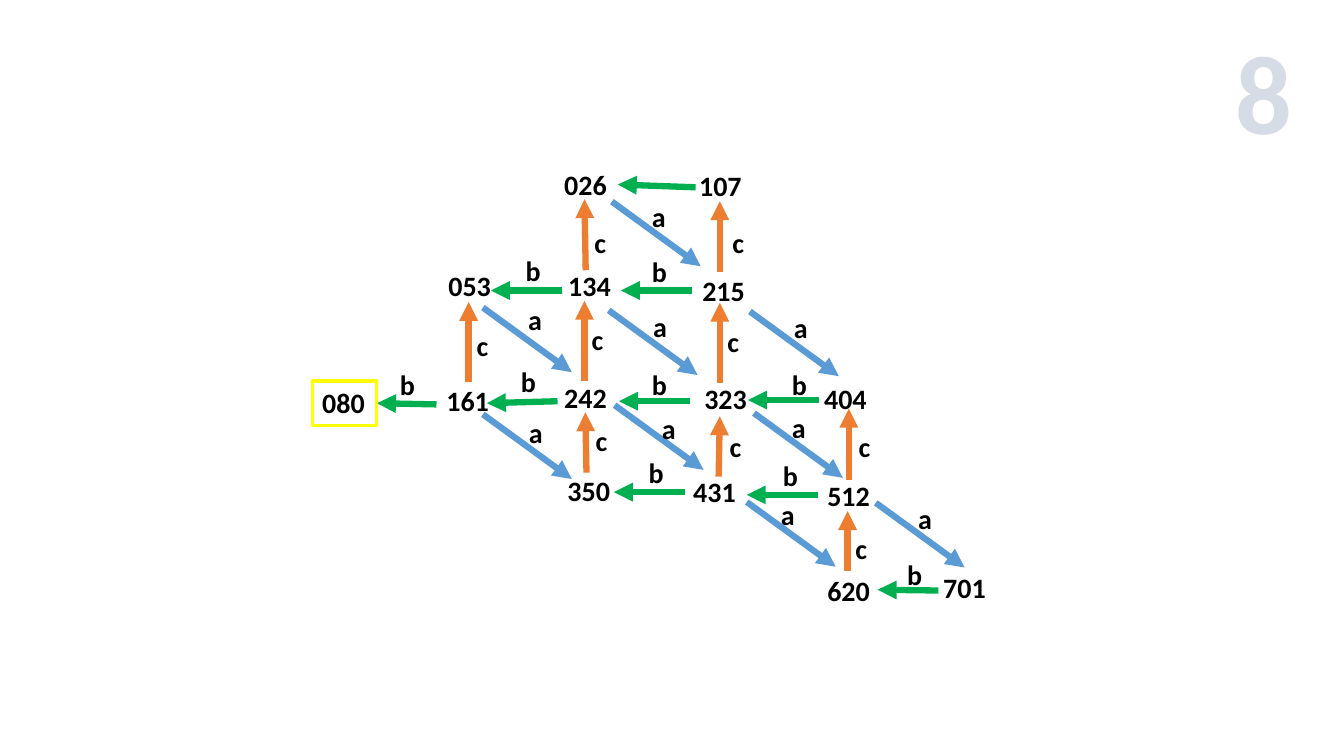
"""Builds the slide with the transition graph for a total of eight."""
from dataclasses import dataclass

from lxml.etree import SubElement
from pptx import Presentation
from pptx.dml.color import RGBColor
from pptx.enum.shapes import MSO_CONNECTOR, MSO_SHAPE
from pptx.enum.text import MSO_ANCHOR, MSO_AUTO_SIZE, PP_ALIGN
from pptx.oxml.ns import qn
from pptx.util import Cm, Pt


@dataclass(frozen=True)
class Theme:
    """Colours, font and type sizes of the slide."""
    font: str = "Calibri"
    text: str = "000000"
    title: str = "D6DCE5"
    highlight: str = "FFFF00"
    move_a: str = "5B9BD5"
    move_b: str = "00B050"
    move_c: str = "ED7D31"
    text_size: int = 20
    title_size: int = 80
    arrow_width: float = 4.5
    frame_width: float = 2.25


class GraphSlide:
    """Holds the theme and the slide, and draws each kind of element."""

    def __init__(self, slide, theme):
        """Keeps the slide and its theme."""
        self.slide = slide
        self.theme = theme

    def set_text(self, shape, text, size, color, alignment=PP_ALIGN.LEFT):
        """Puts one bold paragraph into a shape."""
        frame = shape.text_frame
        frame.text = text
        frame.vertical_anchor = MSO_ANCHOR.TOP
        paragraph = frame.paragraphs[0]
        paragraph.alignment = alignment
        font = paragraph.font
        font.name = self.theme.font
        font.size = Pt(size)
        font.bold = True
        font.color.rgb = RGBColor.from_string(color)
        return frame

    def title(self, text, left, top, width, height):
        """Moves and fills the title placeholder."""
        shape = self.slide.shapes.title
        shape.left, shape.top = Cm(left), Cm(top)
        shape.width, shape.height = Cm(width), Cm(height)
        frame = self.set_text(shape, text, self.theme.title_size,
                              self.theme.title, PP_ALIGN.CENTER)
        frame.word_wrap = False
        frame.auto_size = MSO_AUTO_SIZE.NONE

    def label(self, text, left, top, width):
        """Adds a plain text label."""
        shape = self.slide.shapes.add_textbox(
            Cm(left), Cm(top), Cm(width), Cm(LABEL_HEIGHT))
        frame = self.set_text(shape, text, self.theme.text_size, self.theme.text)
        frame.word_wrap = True

    def framed_label(self, text, left, top, width):
        """Adds a label inside a highlighted frame."""
        shape = self.slide.shapes.add_shape(
            MSO_SHAPE.RECTANGLE, Cm(left), Cm(top), Cm(width), Cm(LABEL_HEIGHT))
        shape.shadow.inherit = False
        shape.fill.background()
        shape.line.color.rgb = RGBColor.from_string(self.theme.highlight)
        shape.line.width = Pt(self.theme.frame_width)
        self.set_text(shape, text, self.theme.text_size, self.theme.text)

    def arrow(self, start, shift, color):
        """Adds a thick arrow from a start point along a shift."""
        (x, y), (across, down) = start, shift
        connector = self.slide.shapes.add_connector(
            MSO_CONNECTOR.STRAIGHT, Cm(x), Cm(y), Cm(x + across), Cm(y + down))
        connector.line.color.rgb = RGBColor.from_string(color)
        connector.line.width = Pt(self.theme.arrow_width)
        properties = connector._element.spPr
        SubElement(properties.find(qn("a:ln")), qn("a:tailEnd"), type="triangle")
        SubElement(properties, qn("a:effectLst"))


LABEL_HEIGHT = 1.12
STATE_WIDTH = 1.63
MOVE_WIDTH = 1.04
GOAL = "080"

STATES = {
    "026": (13.97, 4.09), "107": (17.37, 4.11),
    "053": (11.05, 6.65), "134": (14.07, 6.65), "215": (17.45, 6.76),
    "080": (7.87, 9.6), "161": (11, 9.53), "242": (13.97, 9.47),
    "323": (17.5, 9.5), "404": (20.52, 9.5),
    "350": (14.05, 11.81), "431": (17.22, 11.84), "512": (20.6, 11.94),
    "620": (20.6, 14.33), "701": (23.52, 14.25),
}

DIAGONAL = (2.24, 1.63)
LEFTWARD = (-1.8, 0)
SHORT_UP, MIDDLE_UP, LONG_UP = (0, -1.52), (0, -1.79), (0, -2.02)

MOVES = {
    "a": [
        ((15.42, 5.08), DIAGONAL, (16.18, 4.9)),
        ((12.17, 7.75), DIAGONAL, (13.06, 7.49)),
        ((15.34, 7.82), DIAGONAL, (16.21, 7.67)),
        ((18.9, 7.85), DIAGONAL, (19.76, 7.7)),
        ((12.17, 10.44), DIAGONAL, (13.08, 10.34)),
        ((15.49, 10.21), DIAGONAL, (16.43, 10.24)),
        ((19, 10.41), DIAGONAL, (19.71, 10.21)),
        ((18.82, 12.65), DIAGONAL, (19.43, 12.4)),
        ((22.07, 12.67), DIAGONAL, (22.89, 12.5)),
    ],
    "b": [
        ((17.53, 4.72), (-1.96, -0.07), None),
        ((14.17, 7.32), LEFTWARD, (13, 6.27)),
        ((17.45, 7.32), LEFTWARD, (16.18, 6.3)),
        ((11, 10.19), (-1.5, -0.03), (9.83, 9.14)),
        ((14.05, 10.11), (-1.78, 0.05), (12.88, 9.07)),
        ((17.4, 10.11), LEFTWARD, (16.18, 9.14)),
        ((20.65, 10.08), LEFTWARD, (19.71, 9.14)),
        ((17.27, 12.4), LEFTWARD, (16.1, 11.35)),
        ((20.62, 12.47), LEFTWARD, (19.48, 11.43)),
        ((23.65, 14.88), (-1.53, -0.02), (22.61, 13.92)),
    ],
    "c": [
        ((14.76, 6.81), (-0.03, -1.79), (14.73, 5.56)),
        ((18.14, 6.86), MIDDLE_UP, (18.21, 5.56)),
        ((11.81, 9.63), LONG_UP, (11.76, 8.15)),
        ((14.73, 9.6), LONG_UP, (14.66, 8)),
        ((18.14, 9.65), LONG_UP, (18.08, 8.05)),
        ((14.78, 11.91), (-0.03, -1.52), (14.76, 10.54)),
        ((18.11, 12.01), (0.03, -1.52), (18.14, 10.69)),
        ((21.39, 12.09), MIDDLE_UP, (21.39, 10.69)),
        ((21.36, 14.4), SHORT_UP, (21.31, 13.28)),
    ],
}


def main():
    """Creates the presentation and saves it."""
    presentation = Presentation()
    presentation.slide_width, presentation.slide_height = Cm(33.87), Cm(19.05)
    theme = Theme()
    graph = GraphSlide(
        presentation.slides.add_slide(presentation.slide_layouts[5]), theme)
    graph.title("8", 30.86, 0.43, 1.96, 3.68)

    colors = {"a": theme.move_a, "b": theme.move_b, "c": theme.move_c}
    for name, moves in MOVES.items():
        for start, shift, label_position in moves:
            graph.arrow(start, shift, colors[name])
            if label_position:
                graph.label(name, *label_position, MOVE_WIDTH)

    for state, position in STATES.items():
        draw = graph.framed_label if state == GOAL else graph.label
        draw(state, *position, STATE_WIDTH)

    presentation.save("out.pptx")


main()
